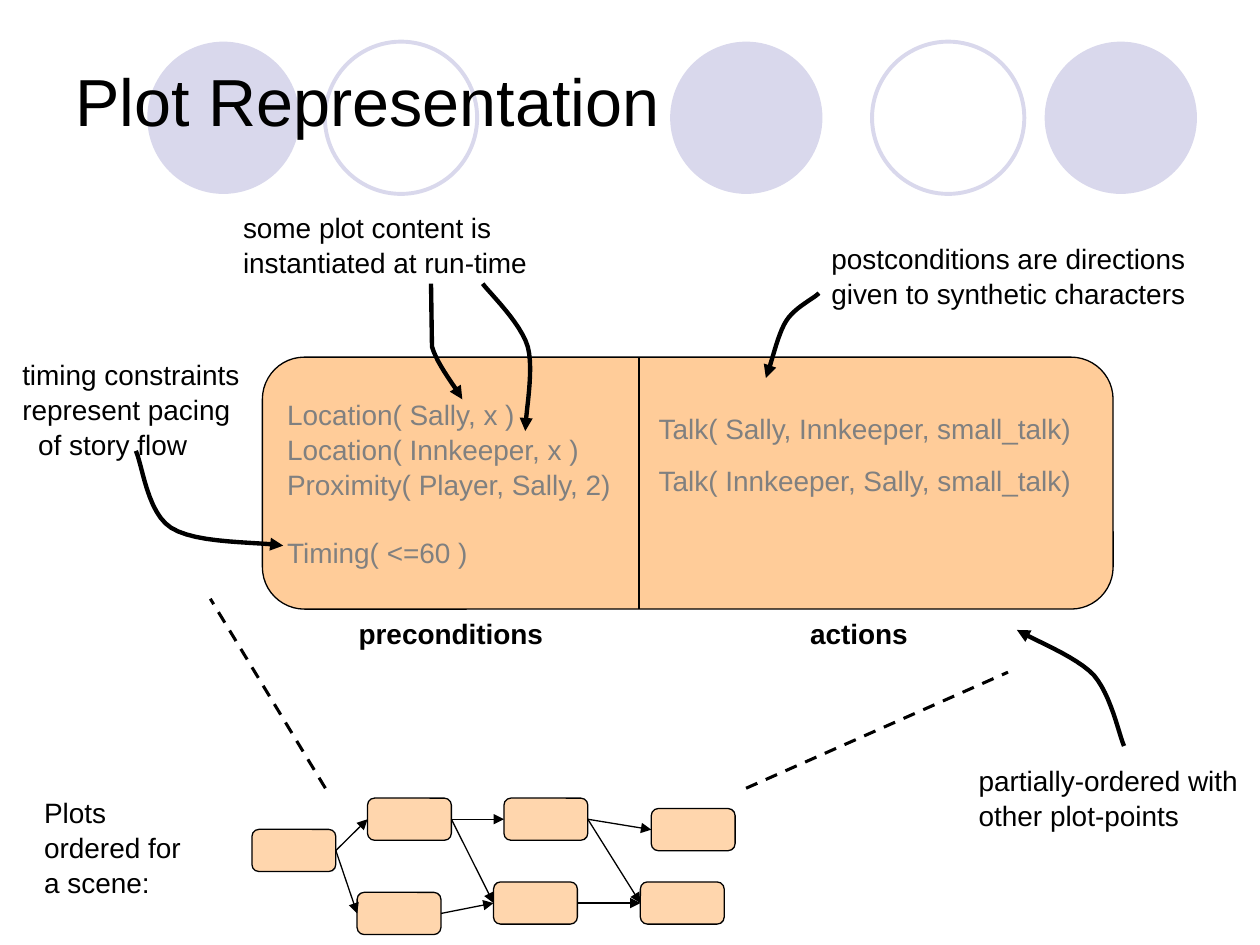
import pptx
import pptx.util
import pptx.dml.color
import pptx.enum.dml
import pptx.enum.shapes
import pptx.enum.text
import pptx.oxml
import pptx.oxml.ns
from dataclasses import dataclass

Cm, Pt = pptx.util.Cm, pptx.util.Pt
SHAPE = pptx.enum.shapes.MSO_SHAPE
MIDDLE = pptx.enum.text.MSO_ANCHOR.MIDDLE
TOP = pptx.enum.text.MSO_ANCHOR.TOP


@dataclass(frozen=True)
class Theme:
    font: str = "Arial"
    ink: str = "000000"
    muted: str = "808080"
    lilac: str = "D9D8EC"
    peach: str = "FFCC99"
    title: int = 38
    body: int = 16
    thin: float = 0.75
    dash: float = 1.75
    ring: float = 2.25
    bold: float = 2.5
    leading: float = 1.04
    corner: float = 0.167


THEME = Theme()


def rgb(code):
    return pptx.dml.color.RGBColor.from_string(code)


def apply(target, **values):
    for name, value in values.items():
        setattr(target, name, value)


def add_xml(parent, tag, **attrs):
    node = pptx.oxml.parse_xml(f"<a:{tag} {pptx.oxml.ns.nsdecls('a')}/>")
    for name, value in attrs.items():
        node.set(name, value)
    parent.append(node)


def stroke(item, width, color=THEME.ink, arrow=False, dash=None):
    item.line.color.rgb = rgb(color)
    apply(item.line, width=Pt(width), dash_style=dash)
    if arrow:
        add_xml(item.line._get_or_add_ln(), "tailEnd", type="triangle")


def write(frame, lines, size=THEME.body, color=THEME.ink, bold=False,
          anchor=TOP, leading=THEME.leading):
    """Each line is its text and a dict of paragraph format values."""
    apply(frame, word_wrap=True, vertical_anchor=anchor)
    for i, (text, form) in enumerate(lines):
        para = frame.paragraphs[0] if i == 0 else frame.add_paragraph()
        indent = form.get("indent", 0)
        if indent:
            para._p.get_or_add_pPr().set("marL", str(int(Cm(indent))))
        apply(para, alignment=pptx.enum.text.PP_ALIGN.LEFT, line_spacing=leading,
              space_before=Pt(form.get("before", 0)))
        run = para.add_run()
        run.text = text
        apply(run.font, name=THEME.font, size=Pt(size), bold=bold)
        run.font.color.rgb = rgb(color)


def label(slide, box, lines, **form):
    text = slide.shapes.add_textbox(*map(Cm, box))
    write(text.text_frame, lines, **form)


def block(slide, kind, box, fill=None):
    shape = slide.shapes.add_shape(kind, *map(Cm, box))
    shape.shadow.inherit = False
    if fill:
        shape.fill.solid()
        shape.fill.fore_color.rgb = rgb(fill)
    else:
        shape.fill.background()
    if kind == SHAPE.ROUNDED_RECTANGLE:
        shape.adjustments[0] = THEME.corner
        stroke(shape, THEME.thin)
    return shape


def link(slide, start, end, width=THEME.thin, **form):
    line = slide.shapes.add_connector(
        pptx.enum.shapes.MSO_CONNECTOR.STRAIGHT, *map(Cm, start + end))
    stroke(line, width, **form)
    add_xml(line._element.spPr, "effectLst")
    return line


def curve(slide, left, top, knots, steps=12):
    """Trace a chain of cubic arcs: a start, then three points per arc."""
    dots = [knots[0]]
    for i in range(0, len(knots) - 1, 3):
        arc = knots[i:i + 4]
        for k in range(1, steps + 1):
            t = k / steps
            mix = ((1 - t) ** 3, 3 * t * (1 - t) ** 2, 3 * t * t * (1 - t), t ** 3)
            dots.append(tuple(sum(m * p[axis] for m, p in zip(mix, arc))
                              for axis in (0, 1)))
    dots = [(Cm(left + x), Cm(top + y)) for x, y in dots]
    path = slide.shapes.build_freeform(*dots[0], scale=1.0)
    path.add_line_segments(dots[1:], close=False)
    shape = path.convert_to_shape()
    shape.shadow.inherit = False
    shape.fill.background()
    stroke(shape, THEME.bold, arrow=True)


def header(slide, box):
    left, top, wide, high = box
    size = 3.07
    # Solid discs and open rings
    for x, solid in ((13.51, True), (21.06, True), (2.97, True),
                     (17.58, False), (6.55, False)):
        disc = block(slide, SHAPE.OVAL, (left + x, top + 0.84, size, size),
                     THEME.lilac if solid else None)
        if solid:
            disc.line.fill.background()
        else:
            stroke(disc, THEME.ring, THEME.lilac)
    # Title
    label(slide, (left + 1.27, top + 0.43, wide - 2.54, 3.18),
          [("Plot Representation", {})], size=THEME.title, anchor=MIDDLE, leading=1.0)


def plot(slide, box):
    left, top, wide, high = box
    split = left + 7.59
    card = block(slide, SHAPE.ROUNDED_RECTANGLE, box, THEME.peach)
    write(card.text_frame, [
        ("Location( Sally, x )", {}),
        ("Location( Innkeeper, x )", {}),
        ("Proximity( Player, Sally, 2)", {}),
        ("Timing( <=60 )", {"before": 19}),
    ], color=THEME.muted, anchor=MIDDLE)
    label(slide, (left + 7.74, top + 0.94, 9.42, 3), [
        ("Talk( Sally, Innkeeper, small_talk)", {}),
        ("Talk( Innkeeper, Sally, small_talk)", {"before": 10}),
    ], color=THEME.muted)
    link(slide, (split, top), (split, top + high))
    # Captions below the two halves
    for x, span, text in ((1.69, 4.65, "preconditions"), (10.79, 2.54, "actions")):
        label(slide, (left + x, top + high, span, 0.94), [(text, {})], bold=True)


def scene(slide, box):
    left, top, wide, high = box
    spots = {"a": (0, 0.63), "b": (2.33, 0), "c": (2.12, 1.9), "d": (5.08, 0),
             "e": (4.87, 1.69), "f": (8.05, 0.21), "g": (7.83, 1.69)}
    chips = {}
    for key, (x, y) in spots.items():
        chips[key] = block(slide, SHAPE.ROUNDED_RECTANGLE,
                           (left + x, top + y, 1.69, 0.85), THEME.peach)
        color = chips[key].fill._xPr.find(".//" + pptx.oxml.ns.qn("a:srgbClr"))
        add_xml(color, "alpha", val="80000")
    # Partial order, from right side to left side
    for one, two in ("ab", "ac", "be", "ce", "bd", "df", "dg", "eg"):
        line = link(slide, (left, top), (left, top), arrow=True)
        line.begin_connect(chips[one], 3)
        line.end_connect(chips[two], 1)
    # Dashed guides up to the plot
    for start, end in (((1.48, -0.2), (-0.84, -4.02)), ((9.96, -0.2), (15.24, -2.54))):
        link(slide, (left + start[0], top + start[1]), (left + end[0], top + end[1]),
             THEME.dash, dash=pptx.enum.dml.MSO_LINE.DASH)


def note(slide, box, lines, *curves):
    label(slide, box, lines)
    for knots in curves:
        curve(slide, box[0], box[1], knots)


def main():
    deck = pptx.Presentation()
    apply(deck, slide_width=Cm(25.4), slide_height=Cm(19.05))
    slide = deck.slides.add_slide(deck.slide_layouts[6])
    header(slide, (0, 0, 25.4, 3.94))
    scene(slide, (5.08, 16.09, 9.74, 2.75))
    plot(slide, (5.29, 7.2, 17.15, 5.08))
    # Remarks with their curved arrows
    note(slide, (0.2, 7.06, 6.15, 2.29),
         [("timing constraints represent pacing", {}), ("of story flow", {"indent": 0.32})],
         [(2.54, 2.03), (2.67, 2.31), (2.77, 3.28), (3.25, 3.58),
          (3.76, 3.91), (5.03, 3.86), (5.51, 3.94)])
    note(slide, (4.65, 4.09, 8.26, 1.63),
         [("some plot content is instantiated at run-time", {})],
         [(4.04, 1.63), (4.04, 1.63), (4.06, 2.9), (4.06, 2.9),
          (4.17, 3.28), (4.55, 3.73), (4.67, 3.96)],
         [(5.08, 1.63), (5.23, 1.83), (5.84, 2.41), (5.99, 2.9),
          (6.12, 3.4), (5.94, 4.24), (5.94, 4.6)])
    note(slide, (16.51, 4.72, 8.05, 1.63),
         [("postconditions are directions given to synthetic characters", {})],
         [(0, 1.19), (-0.1, 1.3), (-0.48, 1.47), (-0.66, 1.75),
          (-0.84, 2.03), (-0.97, 2.67), (-1.07, 2.9)])
    note(slide, (19.48, 15.24, 5.92, 1.63),
         [("partially-ordered with other plot-points", {})],
         [(3.18, -0.2), (3.07, -0.46), (2.92, -1.22), (2.57, -1.63),
          (2.21, -2.01), (1.35, -2.34), (1.02, -2.54)])
    note(slide, (0.64, 15.88, 3.61, 2.29), [("Plots ordered for a scene:", {})])
    deck.save("out.pptx")


if __name__ == "__main__":
    main()
